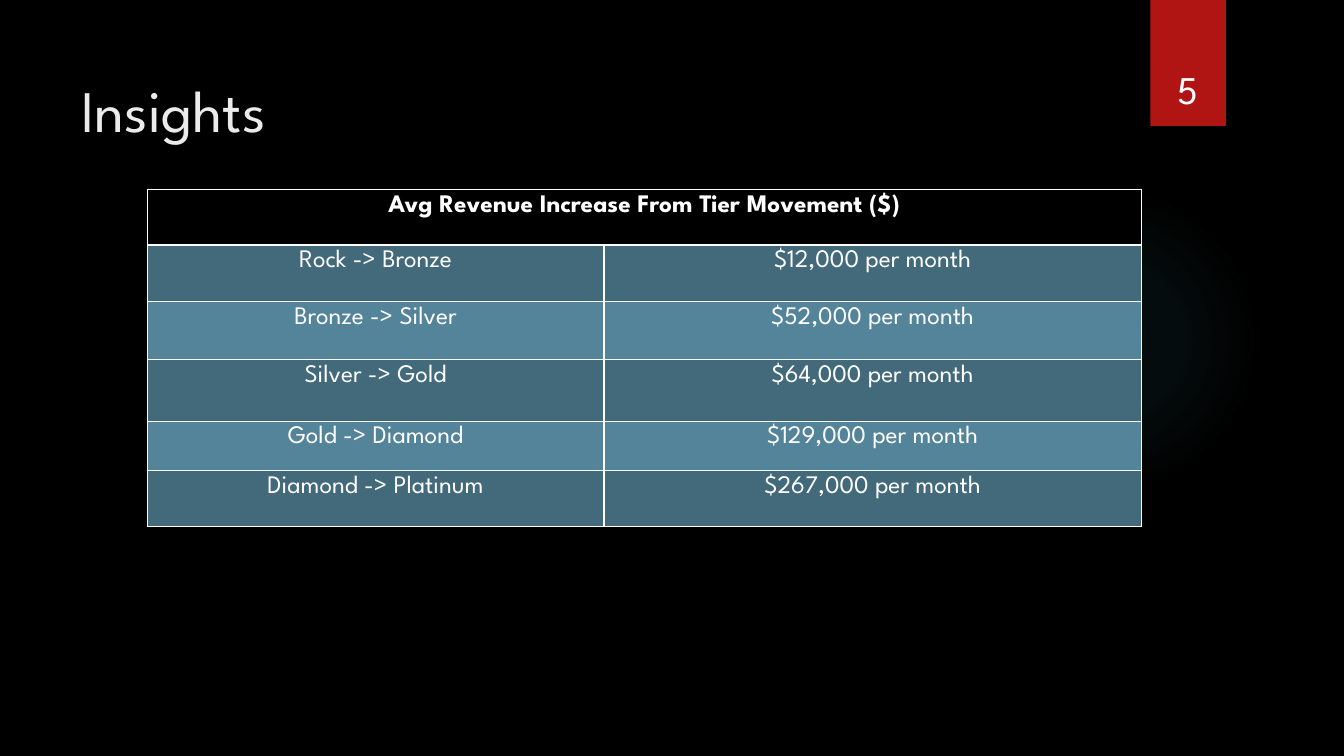
from lxml import etree
from pptx import Presentation
from pptx.dml.color import RGBColor
from pptx.enum.shapes import MSO_SHAPE
from pptx.enum.text import MSO_ANCHOR, PP_ALIGN
from pptx.oxml import parse_xml
from pptx.oxml.ns import nsdecls, qn
from pptx.util import Inches, Pt

RECT, OVAL = MSO_SHAPE.RECTANGLE, MSO_SHAPE.OVAL
TOP, BOTTOM = MSO_ANCHOR.TOP, MSO_ANCHOR.BOTTOM
LEFT, CENTER = PP_ALIGN.LEFT, PP_ALIGN.CENTER

FONT = "League Spartan"
BLACK, WHITE, RED, TITLE = "000000", "FFFFFF", "B01513", "EBEBEB"
BANDS = ("436A7B", "54849A")
GLOW = "50B9C1"
GLOW_STOPS = ((0, 7), (36, 6), (69, 0))  # position %, opacity %

HEADING = "Avg Revenue Increase From Tier Movement ($)"
MOVES = (
    ("Rock -> Bronze", "$12,000 per month"),
    ("Bronze -> Silver", "$52,000 per month"),
    ("Silver -> Gold", "$64,000 per month"),
    ("Gold -> Diamond", "$129,000 per month"),
    ("Diamond -> Platinum", "$267,000 per month"),
)
COL_WIDTHS = (4.53, 5.33)
ROW_HEIGHTS = (0.55, 0.56, 0.58, 0.61, 0.49, 0.55)


def rgb(color):
    return RGBColor.from_string(color)


def style_text(p, text, size, color, align, bold=False):
    p.text = text
    p.alignment = align
    p.font.name = FONT
    p.font.size = Pt(size)
    p.font.bold = bold
    p.font.color.rgb = rgb(color)


def add_plain_shape(s, kind, left, top, width, height, color):
    sp = s.shapes.add_shape(kind, Inches(left), Inches(top),
                            Inches(width), Inches(height))
    sp.shadow.inherit = False
    sp.fill.solid()
    sp.fill.fore_color.rgb = rgb(color)
    sp.line.fill.background()
    return sp


def add_glow(s, left, top, size):
    """Circle that fades from a faint centre to nothing."""
    sp = add_plain_shape(s, OVAL, left, top, size, size, GLOW)
    stops = "".join(
        f'<a:gs pos="{pos * 1000}"><a:srgbClr val="{GLOW}">'
        f'<a:alpha val="{alpha * 1000}"/></a:srgbClr></a:gs>'
        for pos, alpha in GLOW_STOPS)
    gradient = parse_xml(
        f'<a:gradFill {nsdecls("a")}><a:gsLst>{stops}</a:gsLst>'
        '<a:path path="circle"><a:fillToRect l="50000" t="50000" '
        'r="50000" b="50000"/></a:path></a:gradFill>')
    solid = sp.element.spPr.find(qn("a:solidFill"))
    solid.getparent().replace(solid, gradient)


def add_text(s, text, left, top, width, height, size, color,
             align=LEFT, anchor=TOP, inset_top=0.05):
    box = s.shapes.add_textbox(Inches(left), Inches(top),
                               Inches(width), Inches(height))
    tf = box.text_frame
    tf.word_wrap = True
    tf.vertical_anchor = anchor
    tf.margin_top = Inches(inset_top)
    style_text(tf.paragraphs[0], text, size, color, align)


def style_cell(cell, color):
    """Fill the cell and draw a thin white border on all four sides."""
    cell.fill.solid()
    cell.fill.fore_color.rgb = rgb(color)
    tc_pr = cell._tc.get_or_add_tcPr()
    for i, side in enumerate(("lnL", "lnR", "lnT", "lnB")):
        ln = etree.Element(qn(f"a:{side}"), w=str(Pt(1)))
        fill = etree.SubElement(ln, qn("a:solidFill"))
        etree.SubElement(fill, qn("a:srgbClr"), val=WHITE)
        tc_pr.insert(i, ln)


def add_revenue_table(s, left, top):
    rows = ((HEADING, ""),) + MOVES
    table = s.shapes.add_table(
        len(rows), len(COL_WIDTHS), Inches(left), Inches(top),
        Inches(sum(COL_WIDTHS)), Inches(sum(ROW_HEIGHTS))).table
    for col, width in zip(table.columns, COL_WIDTHS):
        col.width = Inches(width)
    for r, (texts, height) in enumerate(zip(rows, ROW_HEIGHTS)):
        table.rows[r].height = Inches(height)
        for c, text in enumerate(texts):
            cell = table.cell(r, c)
            style_cell(cell, BANDS[(r - 1) % 2] if r else BLACK)
            if text:
                style_text(cell.text_frame.paragraphs[0], text, 18, WHITE,
                           CENTER, bold=r == 0)
    table.cell(0, 0).merge(table.cell(0, 1))


def main():
    prs = Presentation()
    prs.slide_width, prs.slide_height = Inches(13.33), Inches(7.5)
    s = prs.slides.add_slide(prs.slide_layouts[6])
    s.background.fill.solid()
    s.background.fill.fore_color.rgb = rgb(BLACK)

    add_glow(s, 9.41, 1.83, 3.08)
    add_plain_shape(s, RECT, 11.41, 0, 0.75, 1.25, RED)
    add_text(s, "Insights", 0.71, 0.5, 10.29, 1.53, 42, TITLE, inset_top=0.23)
    add_text(s, "5", 11.32, 0.32, 0.92, 0.84, 28, WHITE, CENTER, BOTTOM)
    add_revenue_table(s, 1.46, 1.88)
    prs.save("out.pptx")


if __name__ == "__main__":
    main()
